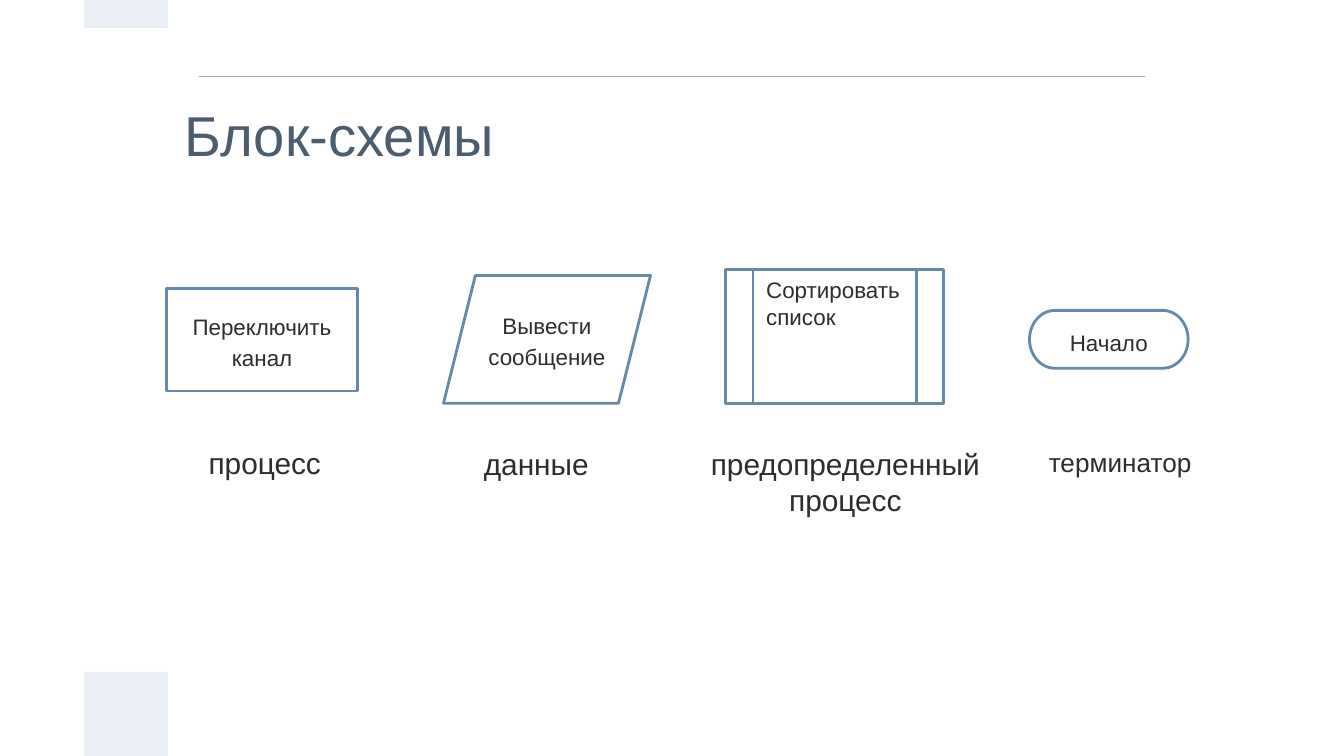
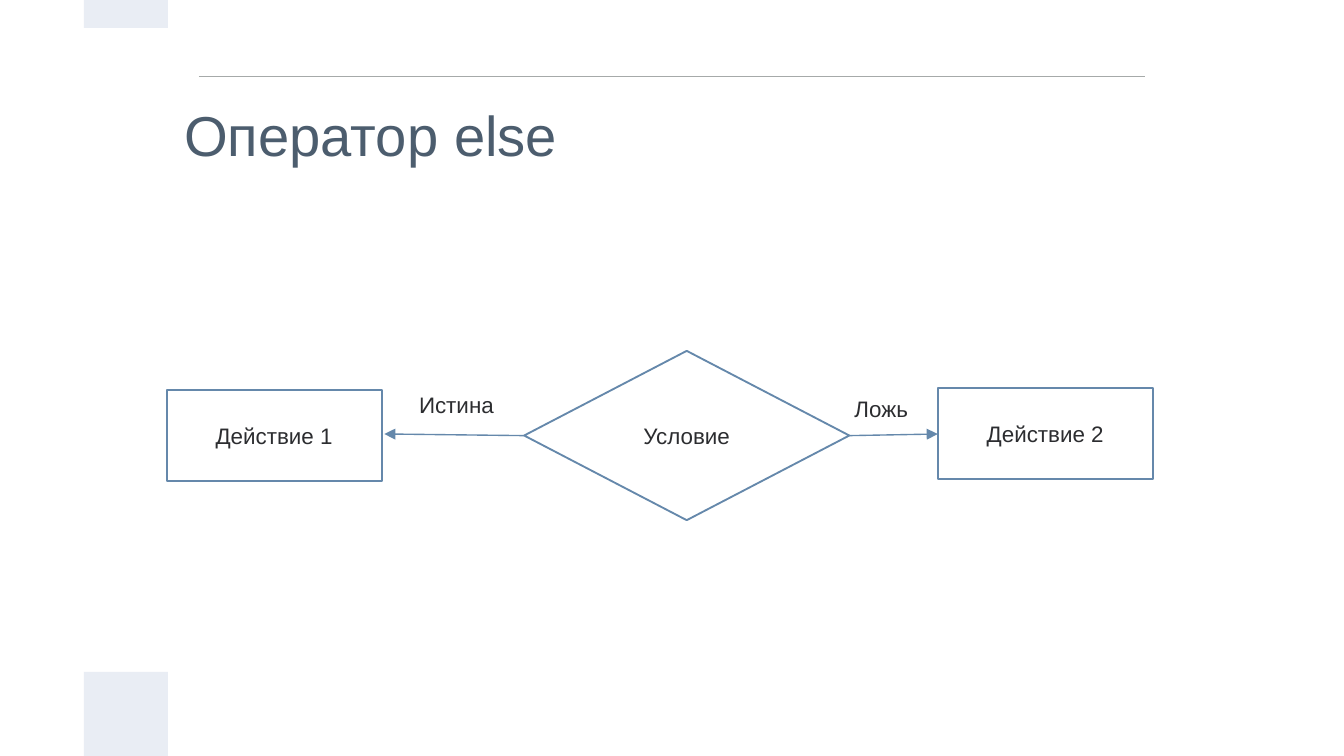
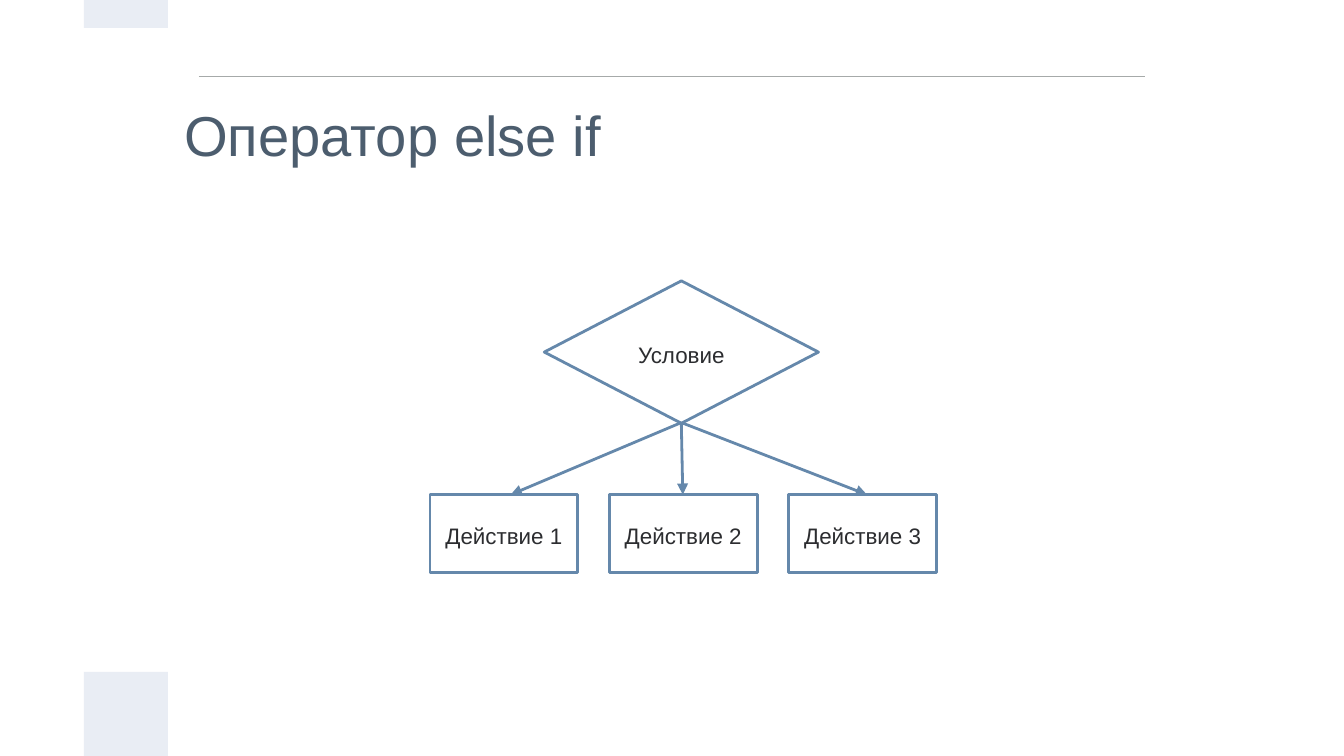
"""Build three flowchart slides that share one title style and frame."""
from dataclasses import dataclass

import pptx
import pptx.dml.color
import pptx.enum.shapes
import pptx.enum.text
import pptx.oxml.ns
import pptx.presentation
import pptx.shapes.base
import pptx.shapes.connector
import pptx.slide
import pptx.util
from lxml import etree

Pt = pptx.util.Pt
RGBColor = pptx.dml.color.RGBColor
Shape = pptx.enum.shapes.MSO_SHAPE
Anchor = pptx.enum.text.MSO_ANCHOR
Align = pptx.enum.text.PP_ALIGN

FONT = "Arial"
TITLE_COLOR = RGBColor(0x4C, 0x5D, 0x6E)
TEXT_COLOR = RGBColor(0x2C, 0x2D, 0x30)
OUTLINE_COLOR = RGBColor(0x65, 0x88, 0xAB)
RULE_COLOR = RGBColor(0xA6, 0xAA, 0xA9)
BAND_COLOR = RGBColor(0xE9, 0xED, 0xF4)
WHITE = RGBColor(0xFF, 0xFF, 0xFF)

TITLE_LEFT = 89.3


@dataclass(frozen=True)
class Area:
    left: float
    top: float
    width: float
    height: float

    def lengths(self) -> tuple[int, int, int, int]:
        return Pt(self.left), Pt(self.top), Pt(self.width), Pt(self.height)


@dataclass(frozen=True)
class TextStyle:
    size: float = 12
    color: RGBColor = TEXT_COLOR
    align: Align = Align.CENTER
    anchor: Anchor = Anchor.MIDDLE
    spacing: float = 1
    inset_x: float = 7.2
    inset_y: float = 3.6


@dataclass(frozen=True)
class Node:
    kind: Shape
    text: str
    area: Area
    style: TextStyle
    line_width: float = 1.5
    fill: RGBColor | None = None


@dataclass(frozen=True)
class Label:
    text: str
    area: Area
    style: TextStyle


@dataclass(frozen=True)
class Line:
    start: tuple[float, float]
    end: tuple[float, float]
    width: float
    color: RGBColor = OUTLINE_COLOR
    arrow: bool = True


TITLE_AREA = Area(TITLE_LEFT, 45.4, 719.3, 52.6)
TITLE_STYLE = TextStyle(30.1, TITLE_COLOR, Align.LEFT, inset_x=9.4, inset_y=9.4)
BANDS = (Area(45, 360, 45, 45), Area(45, 0, 45, 15))
TOP_RULE = Line((106.6, 41), (613.4, 41), 0.75, RULE_COLOR, arrow=False)

PLAIN = TextStyle()
LOOSE = TextStyle(spacing=1.15)
CAPTION = TextStyle(16, anchor=Anchor.TOP)
BRANCH = TextStyle(align=Align.LEFT, anchor=Anchor.TOP)


def write_text(box: pptx.shapes.base.BaseShape, text: str, style: TextStyle) -> None:
    frame = box.text_frame
    frame.text = text
    frame.word_wrap = True
    frame.auto_size = pptx.enum.text.MSO_AUTO_SIZE.NONE
    frame.vertical_anchor = style.anchor
    frame.margin_left = frame.margin_right = Pt(style.inset_x)
    frame.margin_top = frame.margin_bottom = Pt(style.inset_y)
    para = frame.paragraphs[0]
    para.alignment = style.align
    para.line_spacing = style.spacing
    para.font.name = FONT
    para.font.size = Pt(style.size)
    para.font.color.rgb = style.color


def draw_node(page: pptx.slide.Slide, node: Node) -> None:
    box = page.shapes.add_shape(node.kind, *node.area.lengths())
    box.shadow.inherit = False
    if node.fill is None:
        box.fill.background()
    else:
        box.fill.solid()
        box.fill.fore_color.rgb = node.fill
    box.line.color.rgb = OUTLINE_COLOR
    box.line.width = Pt(node.line_width)
    write_text(box, node.text, node.style)


def draw_label(page: pptx.slide.Slide, label: Label) -> None:
    box = page.shapes.add_textbox(*label.area.lengths())
    write_text(box, label.text, label.style)


def draw_line(page: pptx.slide.Slide, line: Line) -> None:
    ends = [Pt(value) for value in line.start + line.end]
    connector = page.shapes.add_connector(
        pptx.enum.shapes.MSO_CONNECTOR.STRAIGHT, *ends
    )
    connector.line.color.rgb = line.color
    connector.line.width = Pt(line.width)
    qualify = pptx.oxml.ns.qn
    properties = connector.element.find(qualify("p:spPr"))
    if line.arrow:
        outline = properties.find(qualify("a:ln"))
        etree.SubElement(outline, qualify("a:tailEnd"), type="triangle")
    etree.SubElement(properties, qualify("a:effectLst"))


def draw_band(page: pptx.slide.Slide, area: Area) -> None:
    band = page.shapes.add_shape(Shape.RECTANGLE, *area.lengths())
    band.shadow.inherit = False
    band.fill.solid()
    band.fill.fore_color.rgb = BAND_COLOR
    band.line.fill.background()


def add_page(deck: pptx.presentation.Presentation, title: str) -> pptx.slide.Slide:
    page = deck.slides.add_slide(deck.slide_layouts.get_by_name("Title Only"))
    draw_line(page, TOP_RULE)
    for area in BANDS:
        draw_band(page, area)
    heading = page.shapes.title
    heading.left, heading.top, heading.width, heading.height = TITLE_AREA.lengths()
    write_text(heading, title, TITLE_STYLE)
    return page


def build_symbols(deck: pptx.presentation.Presentation) -> None:
    page = add_page(deck, "Блок-схемы")
    symbols = (
        Node(Shape.RECTANGLE, "Переключить канал",
             Area(TITLE_LEFT, 154.8, 102.2, 54.7), LOOSE),
        Node(Shape.PARALLELOGRAM, "Вывести сообщение",
             Area(237.6, 147.6, 110.9, 68.4), LOOSE),
        Node(Shape.FLOWCHART_PREDEFINED_PROCESS, "Сортировать список",
             Area(388.8, 144.4, 116.6, 72), BRANCH),
        Node(Shape.FLOWCHART_TERMINATOR, "Начало", Area(551.5, 166.3, 85, 31),
             TextStyle(anchor=Anchor.TOP, spacing=1.15)),
    )
    for symbol in symbols:
        draw_node(page, symbol)
    caption_top = 235.4
    captions = (
        Label("процесс", Area(TITLE_LEFT, caption_top, 105.1, 24.5), TextStyle(16)),
        Label("данные", Area(244.8, caption_top, 85, 24.5), CAPTION),
        Label("предопределенный процесс",
              Area(373.7, caption_top, 158.4, 41), CAPTION),
        Label("терминатор", Area(551.5, caption_top, 97.2, 24.5),
              TextStyle(14, anchor=Anchor.TOP)),
    )
    for caption in captions:
        draw_label(page, caption)


def build_else(deck: pptx.presentation.Presentation) -> None:
    page = add_page(deck, "Оператор else")
    draw_label(page, Label("Ложь", Area(450.7, 208.1, 47.5, 24.5), BRANCH))
    draw_label(page, Label("Истина", Area(217.4, 206.2, 56.2, 24.5), BRANCH))
    steps = (
        (Shape.FLOWCHART_DECISION, "Условие", Area(280.8, 188, 174.2, 90.7)),
        (Shape.RECTANGLE, "Действие 1", Area(TITLE_LEFT, 208.8, 115.2, 49)),
        (Shape.RECTANGLE, "Действие 2", Area(502.4, 207.8, 115.2, 49)),
    )
    for kind, text, area in steps:
        draw_node(page, Node(kind, text, area, PLAIN, 1, WHITE))
    for start_x, end_x in ((280.8, 205.9), (455, 502.4)):
        draw_line(page, Line((start_x, 233.4), (end_x, 232.5), 0.75))


def build_else_if(deck: pptx.presentation.Presentation) -> None:
    page = add_page(deck, "Оператор else if")
    draw_node(page, Node(Shape.FLOWCHART_DECISION, "Условие",
                         Area(291.6, 150.5, 146.9, 76.3), LOOSE))
    action_top = 265
    for index, arrow_x in enumerate((273.6, 365.8, 464.4)):
        area = Area(230.4 + 96.1 * index, action_top, 79.2, 41.8)
        draw_node(page, Node(Shape.RECTANGLE, f"Действие {index + 1}", area, LOOSE))
        draw_line(page, Line((365, 226.4), (arrow_x, action_top), 1.5))


def main() -> None:
    deck = pptx.Presentation()
    deck.slide_width, deck.slide_height = Pt(720), Pt(405)
    build_symbols(deck)
    build_else(deck)
    build_else_if(deck)
    deck.save("out.pptx")


if __name__ == "__main__":
    main()
